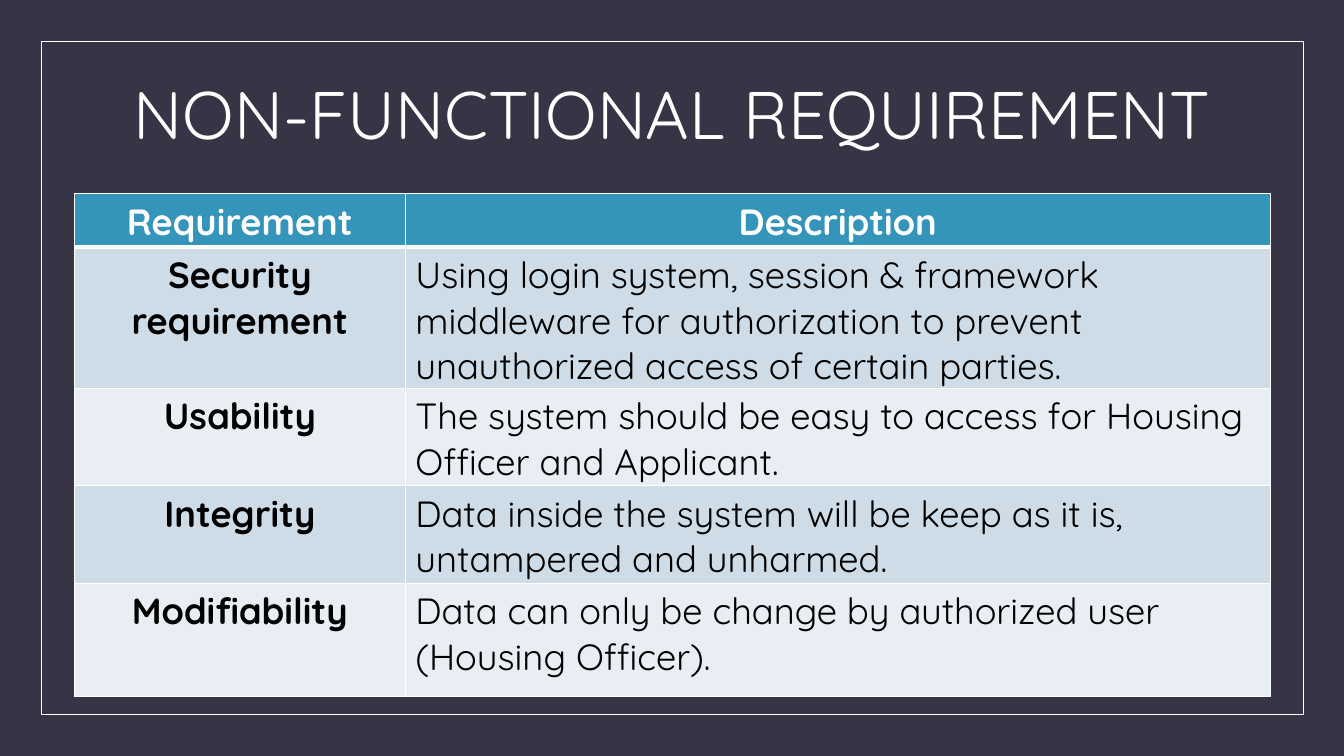
from lxml import etree
from pptx import Presentation
from pptx.dml.color import RGBColor
from pptx.enum.shapes import MSO_SHAPE
from pptx.enum.text import MSO_ANCHOR, PP_ALIGN
from pptx.oxml.ns import qn
from pptx.util import Inches, Pt

RECTANGLE = MSO_SHAPE.RECTANGLE
MIDDLE, TOP = MSO_ANCHOR.MIDDLE, MSO_ANCHOR.TOP
CENTER, LEFT = PP_ALIGN.CENTER, PP_ALIGN.LEFT

FONT = "Quicksand"
COLORS = {
    "background": "373545",
    "white": "FFFFFF",
    "black": "000000",
    "header": "3494BA",
    "dark_band": "CEDCE7",
    "light_band": "E8EEF3",
}
COLUMN_WIDTHS = [3.28, 8.58]
ROW_HEIGHTS = [0.45, 0.75, 0.82, 0.75, 1.12]
REQUIREMENTS = [
    ("Requirement", "Description"),
    ("Security requirement",
     "Using login system, session & framework middleware for authorization "
     "to prevent unauthorized access of certain parties."),
    ("Usability",
     "The system should be easy to access for Housing Officer and Applicant."),
    ("Integrity",
     "Data inside the system will be keep as it is, untampered and unharmed."),
    ("Modifiability",
     "Data can only be change by authorized user (Housing Officer)."),
]


def rgb(name):
    """Return the named colour."""
    return RGBColor.from_string(COLORS[name])


def write_text(frame, text, size=26, color="black", bold=False, align=LEFT,
               anchor=TOP, line_spacing=None):
    """Write one formatted paragraph into a text frame."""
    frame.word_wrap = True
    frame.vertical_anchor = anchor
    para = frame.paragraphs[0]
    para.alignment = align
    para.line_spacing = line_spacing
    span = para.add_run()
    span.text = text
    span.font.name = FONT
    span.font.size = Pt(size)
    span.font.bold = bold
    span.font.color.rgb = rgb(color)


def set_borders(cell, **widths):
    """Draw white cell borders with the given widths in points."""
    properties = cell._tc.get_or_add_tcPr()
    for side in ("L", "R", "T", "B"):
        line = etree.SubElement(properties, qn(f"a:ln{side}"),
                                w=str(Pt(widths.get(side, 1))))
        fill = etree.SubElement(line, qn("a:solidFill"))
        etree.SubElement(fill, qn("a:srgbClr"), val=COLORS["white"])


def add_frame(page, left, top, width, height):
    """Draw the thin outline around the page."""
    frame = page.shapes.add_shape(RECTANGLE, Inches(left), Inches(top),
                                  Inches(width), Inches(height))
    frame.shadow.inherit = False
    frame.fill.background()
    frame.line.color.rgb = rgb("white")
    frame.line.width = Pt(0.5)


def add_title(page, text, left, top, width, height):
    """Place the centred heading."""
    box = page.shapes.add_textbox(Inches(left), Inches(top),
                                  Inches(width), Inches(height))
    write_text(box.text_frame, text, size=48, color="white", align=CENTER,
               anchor=MIDDLE, line_spacing=0.9)


def add_requirements(page, left, top):
    """Place the banded table of requirements."""
    table = page.shapes.add_table(
        len(REQUIREMENTS), len(COLUMN_WIDTHS), Inches(left), Inches(top),
        Inches(sum(COLUMN_WIDTHS)), Inches(sum(ROW_HEIGHTS))).table
    for column, width in zip(table.columns, COLUMN_WIDTHS):
        column.width = Inches(width)
    for index, texts in enumerate(REQUIREMENTS):
        table.rows[index].height = Inches(ROW_HEIGHTS[index])
        is_header = index == 0
        band = "dark_band" if index % 2 else "light_band"
        for position, text in enumerate(texts):
            cell = table.cell(index, position)
            is_heading = is_header or position == 0
            set_borders(cell, T=3 if index == 1 else 1, B=3 if is_header else 1)
            cell.fill.solid()
            cell.fill.fore_color.rgb = rgb("header" if is_header else band)
            write_text(cell.text_frame, text, bold=is_heading,
                       color="white" if is_header else "black",
                       align=CENTER if is_heading else LEFT)


def build_slide(deck):
    """Build the requirements slide."""
    page = deck.slides.add_slide(deck.slide_layouts[6])
    page.background.fill.solid()
    page.background.fill.fore_color.rgb = rgb("background")
    add_frame(page, 0.41, 0.41, 12.52, 6.68)
    add_title(page, "NON-FUNCTIONAL REQUIREMENT", 0.42, 0.42, 12.49, 1.5)
    add_requirements(page, 0.74, 1.92)


def main():
    """Create and save the deck."""
    deck = Presentation()
    deck.slide_width = Inches(13.33)
    deck.slide_height = Inches(7.5)
    build_slide(deck)
    deck.save("out.pptx")


if __name__ == "__main__":
    main()
